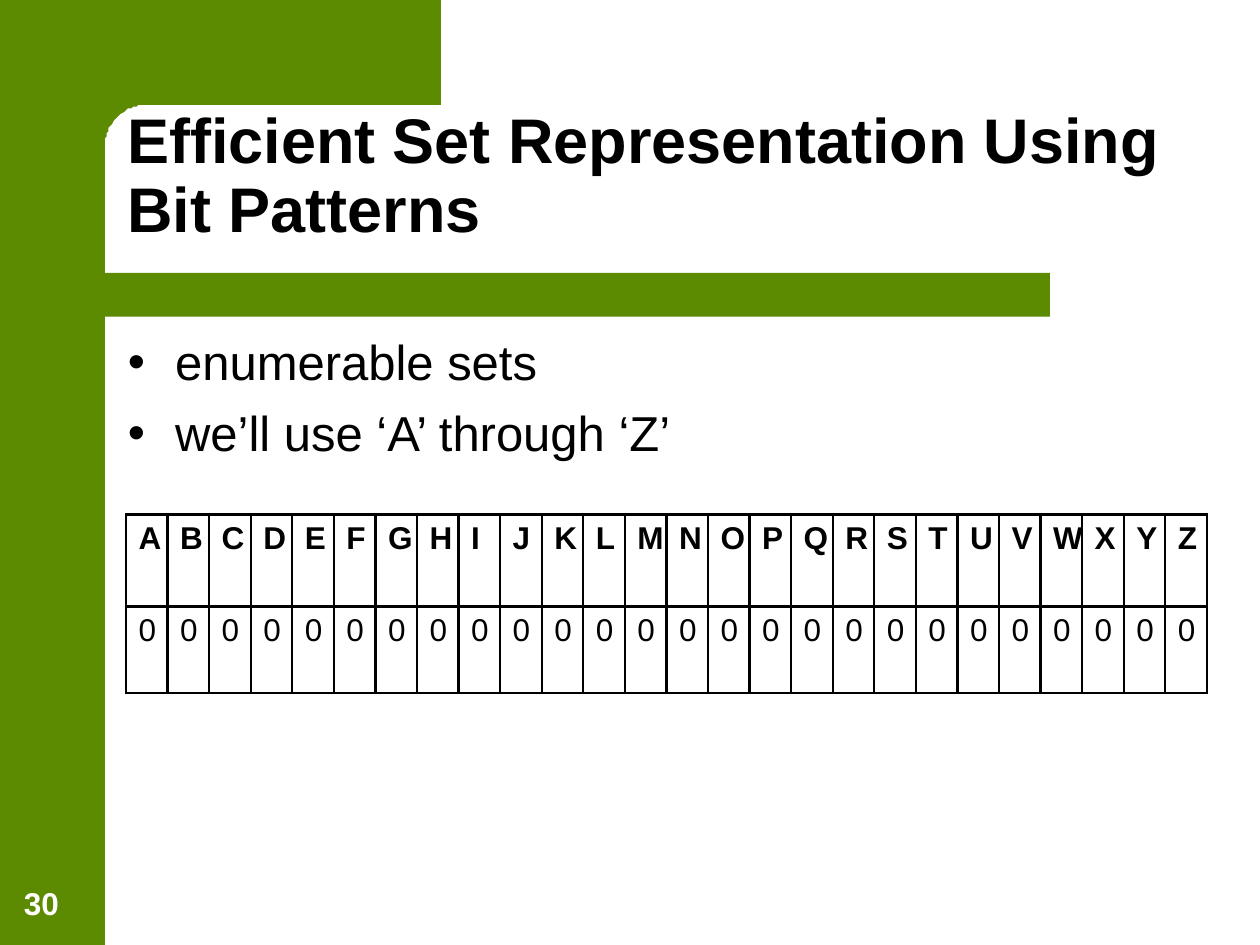
from math import cos, pi, sin

from lxml import etree
from pptx import Presentation
from pptx.dml.color import RGBColor
from pptx.enum.shapes import MSO_SHAPE
from pptx.enum.text import MSO_ANCHOR, MSO_AUTO_SIZE, PP_ALIGN
from pptx.oxml.ns import qn
from pptx.util import Pt

RECT = MSO_SHAPE.RECTANGLE
ROUND_RECT = MSO_SHAPE.ROUNDED_RECTANGLE
DELAY = MSO_SHAPE.FLOWCHART_DELAY
TOP, BOTTOM = MSO_ANCHOR.TOP, MSO_ANCHOR.BOTTOM
LEFT = PP_ALIGN.LEFT
NO_AUTOFIT = MSO_AUTO_SIZE.NONE

COLORS = {"green": "5C8A00", "black": "000000", "white": "FFFFFF"}
FONT = "Arial"
TITLE_ONLY = 5
LETTERS = "ABCDEFGHIJKLMNOPQRSTUVWXYZ"
BITS = "0" * len(LETTERS)


def rgb(name):
    return RGBColor.from_string(COLORS[name])


def paint_green(shape):
    shape.shadow.inherit = False
    shape.fill.solid()
    shape.fill.fore_color.rgb = rgb("green")
    shape.line.fill.background()


def add_block(slide, preset, left, top, width, height):
    block = slide.shapes.add_shape(preset, Pt(left), Pt(top), Pt(width), Pt(height))
    paint_green(block)
    return block


def add_corner(slide):
    center, radius, steps = 84, 24, 24
    angles = [pi / 2 * step / steps for step in range(steps + 1)]
    curve = [(center - radius * sin(a), center - radius * cos(a)) for a in angles]
    outline = [(252, 0), (252, 60), *curve, (60, 92), (36, 92)]
    builder = slide.shapes.build_freeform(36, 0, scale=Pt(1))
    builder.add_line_segments(outline, close=True)
    paint_green(builder.convert_to_shape())


def write(frame, *lines, size, color="black", bold=False, anchor=TOP,
          line_spacing=None, space_before=0, bullet_indent=None):
    frame.word_wrap = True
    frame.auto_size = NO_AUTOFIT
    frame.vertical_anchor = anchor
    for index, line in enumerate(lines):
        paragraph = frame.add_paragraph() if index else frame.paragraphs[0]
        paragraph.alignment = LEFT
        paragraph.line_spacing = line_spacing
        paragraph.space_before = Pt(space_before)
        run = paragraph.add_run()
        run.text = line
        run.font.name = FONT
        run.font.size = Pt(size)
        run.font.bold = bold
        run.font.color.rgb = rgb(color)
        if bullet_indent:
            add_bullet(paragraph, bullet_indent)


def add_bullet(paragraph, indent):
    properties = paragraph._p.get_or_add_pPr()
    properties.set("marL", str(Pt(indent)))
    properties.set("indent", str(Pt(-indent)))
    bullet_color = etree.SubElement(properties, qn("a:buClr"))
    etree.SubElement(bullet_color, qn("a:srgbClr"), val=COLORS["black"])
    etree.SubElement(properties, qn("a:buFont"), typeface=FONT)
    etree.SubElement(properties, qn("a:buChar"), char="•")


def place_title(slide, text):
    title = slide.shapes.title
    title.left, title.top = Pt(65.5), Pt(65.5)
    title.width, title.height = Pt(612.7), Pt(78.5)
    write(title.text_frame, text, size=36, bold=True, anchor=BOTTOM, line_spacing=0.9)
    title.element.getparent().append(title.element)


def add_text(slide, left, top, width, height, *lines, **text_format):
    box = slide.shapes.add_textbox(Pt(left), Pt(top), Pt(width), Pt(height))
    write(box.text_frame, *lines, **text_format)


def add_borders(cell, width):
    properties = cell._tc.get_or_add_tcPr()
    for index, side in enumerate(("a:lnL", "a:lnR", "a:lnT", "a:lnB")):
        border = etree.Element(qn(side), w=str(Pt(width)))
        fill = etree.SubElement(border, qn("a:solidFill"))
        etree.SubElement(fill, qn("a:srgbClr"), val=COLORS["black"])
        properties.insert(index, border)


def add_bit_table(slide):
    width, row_heights = 618, (52.5, 49.5)
    table = slide.shapes.add_table(2, len(LETTERS), Pt(72), Pt(294),
                                   Pt(width), Pt(sum(row_heights))).table
    table.first_row = table.horz_banding = False
    for column in table.columns:
        column.width = Pt(width / len(LETTERS))
    for row, height, values, bold in zip(table.rows, row_heights,
                                         (LETTERS, BITS), (True, False)):
        row.height = Pt(height)
        for cell, value in zip(row.cells, values):
            cell.fill.background()
            add_borders(cell, 1.47)
            cell.vertical_anchor = TOP
            paragraph_format = dict(size=18, bold=bold)
            write_cell(cell, value, **paragraph_format)


def write_cell(cell, value, size, bold):
    paragraph = cell.text_frame.paragraphs[0]
    paragraph.alignment = LEFT
    run = paragraph.add_run()
    run.text = value
    run.font.name = FONT
    run.font.size = Pt(size)
    run.font.bold = bold
    run.font.color.rgb = rgb("black")


def add_backdrop(slide):
    add_block(slide, RECT, 0, 0, 60, 540)
    add_corner(slide)
    bar = add_block(slide, ROUND_RECT, 48, 156, 552, 25)
    bar.adjustments[0] = 0
    bar_end = add_block(slide, DELAY, 18, 156, 31, 25)
    bar_end.element.spPr.find(qn("a:xfrm")).set("flipH", "1")


def main():
    presentation = Presentation()
    presentation.slide_width, presentation.slide_height = Pt(720), Pt(540)
    slide = presentation.slides.add_slide(presentation.slide_layouts[TITLE_ONLY])
    slide.background.fill.solid()
    slide.background.fill.fore_color.rgb = rgb("white")

    add_backdrop(slide)
    place_title(slide, "Efficient Set Representation Using Bit Patterns")
    add_text(slide, 66, 186, 630, 293, "enumerable sets", "we’ll use ‘A’ through ‘Z’",
             size=28, space_before=7, bullet_indent=27)
    add_text(slide, 6.5, 492, 46, 38, "30",
             size=18, color="white", bold=True, anchor=BOTTOM)
    add_bit_table(slide)
    presentation.save("out.pptx")


if __name__ == "__main__":
    main()
